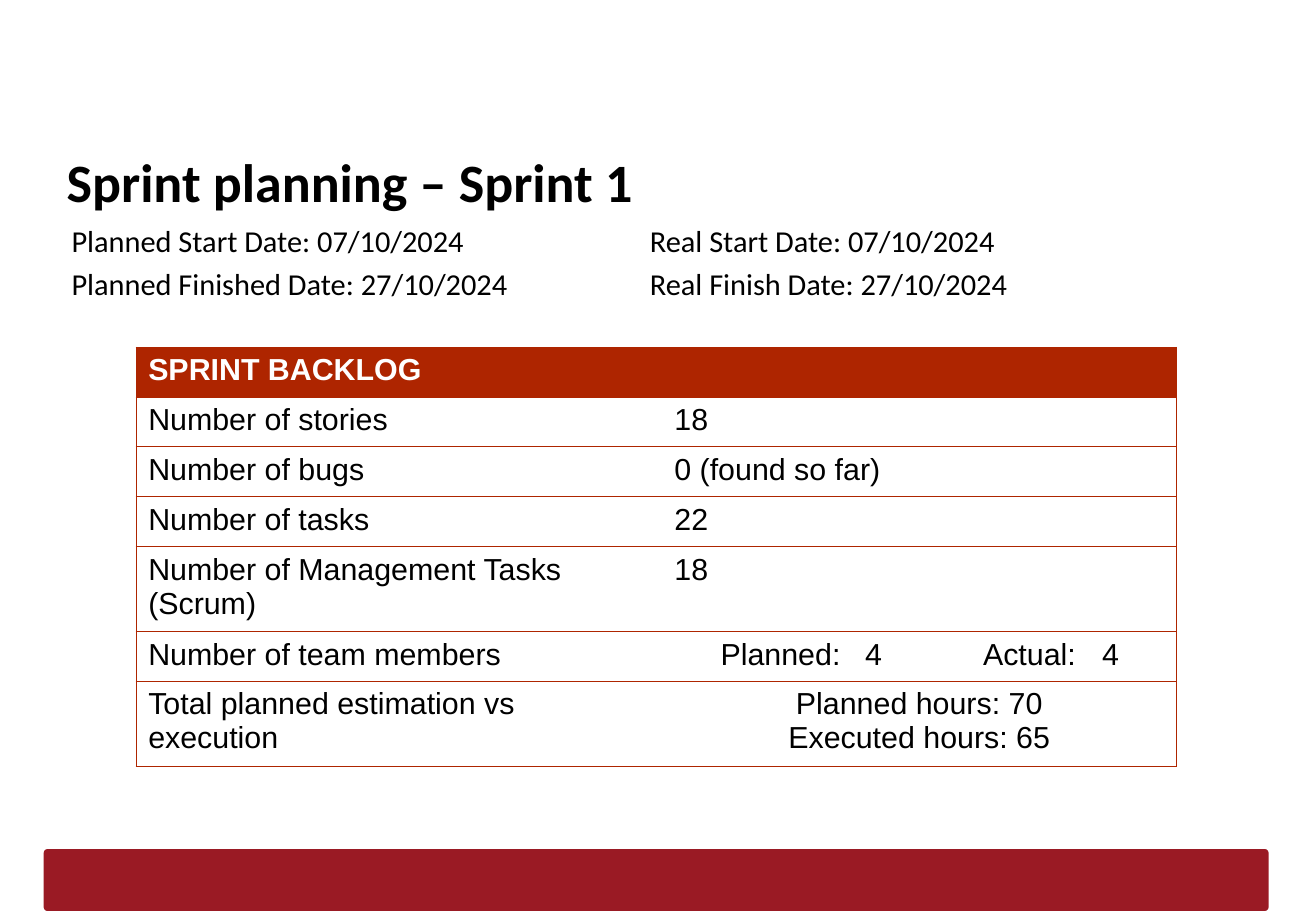
from dataclasses import dataclass

from lxml import etree
from pptx import Presentation
from pptx import util as u
from pptx.dml.color import RGBColor
from pptx.enum import shapes, text
from pptx.oxml import ns


@dataclass(frozen=True)
class Theme:
    bar: RGBColor = RGBColor(0x9A, 0x1A, 0x24)
    accent: RGBColor = RGBColor(0xAE, 0x25, 0x00)
    ink: RGBColor = RGBColor(0, 0, 0)
    paper: RGBColor = RGBColor(255, 255, 255)
    text_font: str = "Calibri"
    table_font: str = "Arial"
    title_size: int = 32
    body_size: int = 18
    border: float = 0.75


@dataclass(frozen=True)
class TextStyle:
    font: str
    size: int
    color: RGBColor
    bold: bool = False
    align: text.PP_ALIGN = text.PP_ALIGN.LEFT
    space_after: int = 0


@dataclass(frozen=True)
class BacklogRow:
    label: str
    lines: tuple[str, ...]
    align: text.PP_ALIGN = text.PP_ALIGN.LEFT
    tabs: tuple[float, ...] = ()


T = Theme()
DATES = (
    "Planned Start Date: 07/10/2024\tReal Start Date: 07/10/2024",
    "Planned Finished Date: 27/10/2024\tReal Finish Date: 27/10/2024",
)
BACKLOG = (
    BacklogRow("Number of stories", ("18",)),
    BacklogRow("Number of bugs", ("0 (found so far)",)),
    BacklogRow("Number of tasks", ("22",)),
    BacklogRow("Number of Management Tasks (Scrum)", ("18",)),
    BacklogRow("Number of team members", ("\tPlanned:\t4\tActual:\t4",),
               tabs=(0.38, 1.57, 2.54, 3.52)),
    BacklogRow("Total planned estimation vs execution",
               ("Planned hours: 70", "Executed hours: 65"), text.PP_ALIGN.CENTER),
)


def write(tf, lines: tuple[str, ...], style: TextStyle, tabs: tuple[float, ...] = ()) -> None:
    """Fill a text frame, one paragraph a line, with tab stops in inches."""
    for i, line in enumerate(lines):
        p = tf.add_paragraph() if i else tf.paragraphs[0]
        p.alignment = style.align
        p.space_after = u.Pt(style.space_after)
        if tabs:
            stops = etree.SubElement(p._p.get_or_add_pPr(), ns.qn("a:tabLst"))
            for stop in tabs:
                etree.SubElement(stops, ns.qn("a:tab"), pos=str(u.Inches(stop)), algn="l")
        r = p.add_run()
        r.text = line
        r.font.name, r.font.size = style.font, u.Pt(style.size)
        r.font.bold, r.font.color.rgb = style.bold, style.color


def add_text(s, left: float, top: float, width: float, height: float,
             lines: tuple[str, ...], style: TextStyle, tabs: tuple[float, ...] = ()) -> None:
    sp = s.shapes.add_textbox(*map(u.Inches, (left, top, width, height)))
    sp.text_frame.word_wrap = True
    write(sp.text_frame, lines, style, tabs)


def set_borders(cell, sides: str) -> None:
    """Line the sides named by letters of LRTB; the others get no line."""
    tc_pr = cell._tc.get_or_add_tcPr()
    for i, side in enumerate("LRTB"):
        ln = etree.Element(ns.qn(f"a:ln{side}"), w=str(u.Pt(T.border)))
        if side in sides:
            fill = etree.SubElement(ln, ns.qn("a:solidFill"))
            etree.SubElement(fill, ns.qn("a:srgbClr"), val=str(T.accent))
        else:
            etree.SubElement(ln, ns.qn("a:noFill"))
        tc_pr.insert(i, ln)


def add_bar(s) -> None:
    sp = s.shapes.add_shape(shapes.MSO_SHAPE.ROUNDED_RECTANGLE,
                            *map(u.Inches, (0.36, 6.99, 10.08, 0.51)))
    sp.adjustments[0] = 0.06
    sp.shadow.inherit = False
    sp.fill.solid()
    sp.fill.fore_color.rgb = T.bar
    sp.line.fill.background()


def add_backlog(s) -> None:
    rows = (BacklogRow("SPRINT BACKLOG", ("",)), *BACKLOG)
    tbl = s.shapes.add_table(len(rows), 2, *map(u.Inches, (1.12, 2.86, 8.56, 2.87))).table
    tbl.horz_banding = False
    for col, width in zip(tbl.columns, (4.33, 4.23)):
        col.width = u.Inches(width)
    for i, row in enumerate(rows):
        header = i == 0
        tbl.rows[i].height = u.Inches(0.41)
        color = T.paper if header else T.ink
        columns = (((row.label,), text.PP_ALIGN.LEFT, (), "LTB"),
                   (row.lines, row.align, row.tabs, "RTB"))
        for j, (lines, align, tabs, sides) in enumerate(columns):
            cell = tbl.cell(i, j)
            if header:
                cell.fill.solid()
                cell.fill.fore_color.rgb = T.accent
            else:
                cell.fill.background()
            set_borders(cell, sides)
            style = TextStyle(T.table_font, T.body_size, color, header, align)
            write(cell.text_frame, lines, style, tabs)


def main() -> None:
    prs = Presentation()
    prs.slide_width, prs.slide_height = u.Inches(10.83), u.Inches(7.5)
    s = prs.slides.add_slide(prs.slide_layouts[6])
    add_bar(s)
    add_text(s, 0.45, 1.17, 9.89, 0.63, ("Sprint planning – Sprint 1",),
             TextStyle(T.text_font, T.title_size, T.ink, bold=True))
    add_backlog(s)
    add_text(s, 0.49, 1.78, 9.89, 0.78, DATES,
             TextStyle(T.text_font, T.body_size, T.ink, space_after=4), tabs=(4.76,))
    prs.save("out.pptx")


if __name__ == "__main__":
    main()
